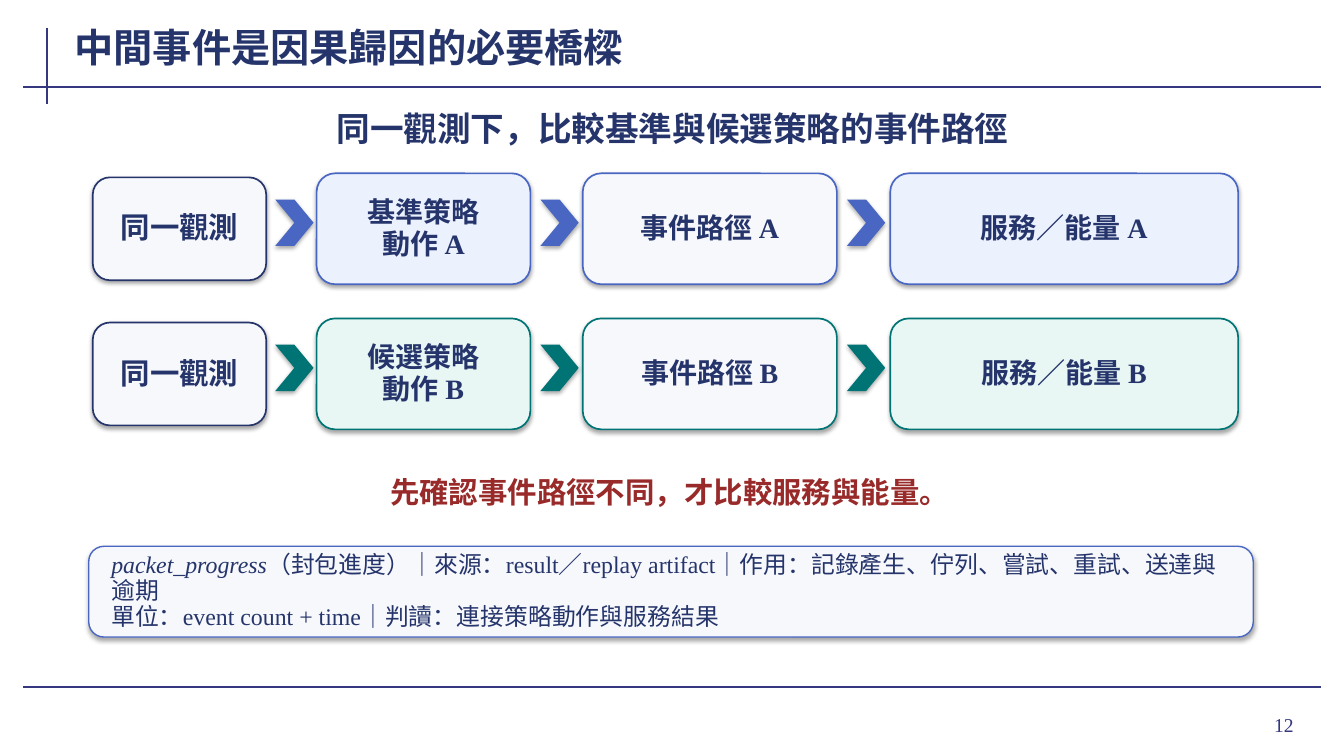
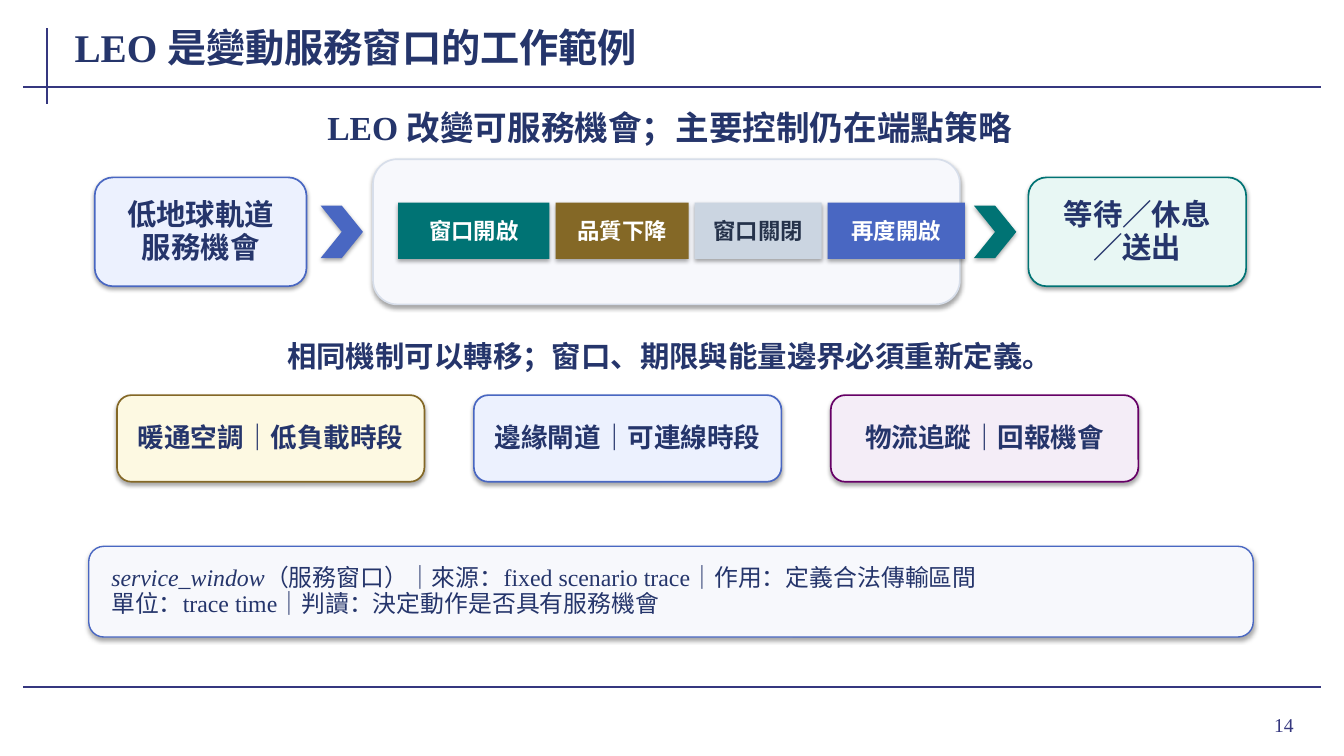
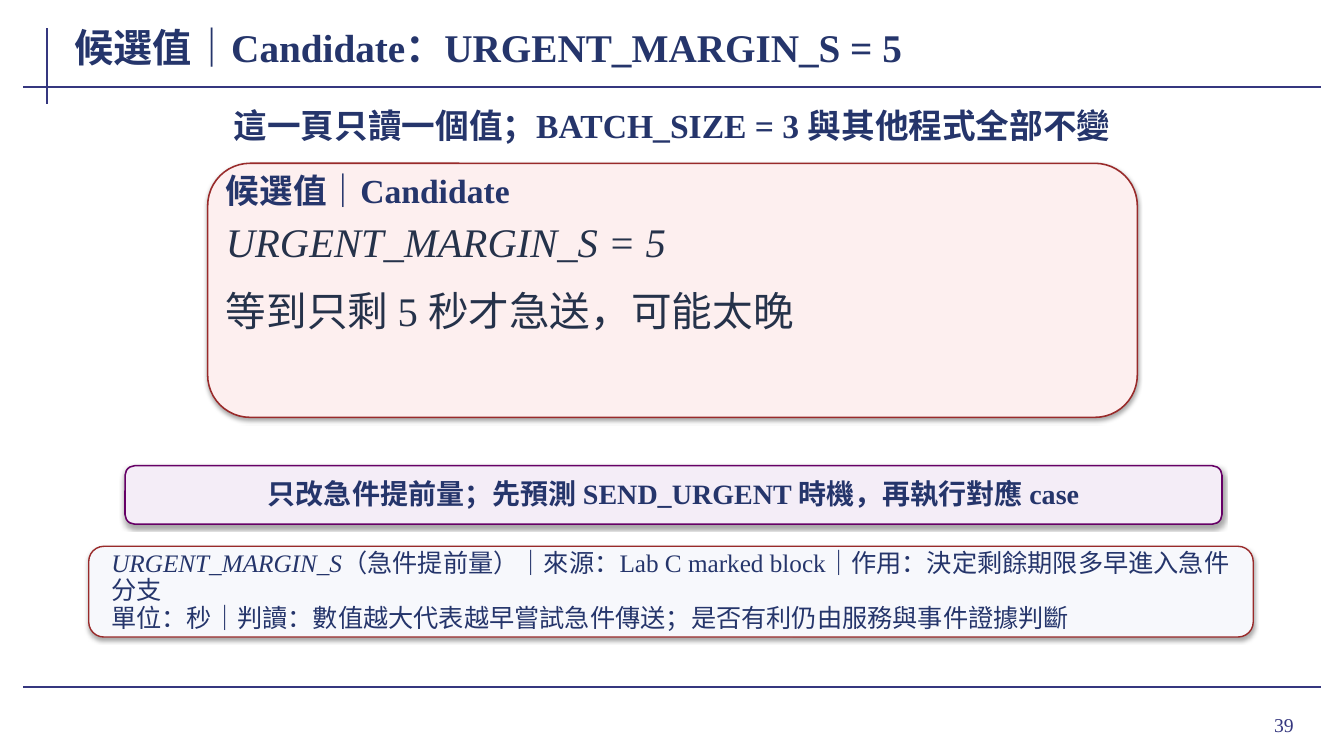
from dataclasses import dataclass, field
from typing import Any, NamedTuple

from lxml import etree
from pptx import Presentation
from pptx.dml.color import RGBColor
from pptx.enum import shapes, text
from pptx.oxml.ns import qn
from pptx.util import Inches, Pt

INDIGO = RGBColor(0x35, 0x37, 0x7F)
NAVY = RGBColor(0x25, 0x35, 0x6B)
INK = RGBColor(0x25, 0x32, 0x4A)
BLUE = RGBColor(0x49, 0x67, 0xC2)
TEAL = RGBColor(0x00, 0x73, 0x74)
RED = RGBColor(0x99, 0x2A, 0x2A)
GOLD = RGBColor(0x84, 0x68, 0x26)
PURPLE = RGBColor(0x66, 0x00, 0x66)
GREY = RGBColor(0xCB, 0xD5, 0xE1)
WHITE = RGBColor(0xFF, 0xFF, 0xFF)
OUTLINE = RGBColor(0xD7, 0xDE, 0xEA)
PALE = RGBColor(0xF7, 0xF8, 0xFC)
PALE_BLUE = RGBColor(0xEC, 0xF1, 0xFE)
PALE_TEAL = RGBColor(0xE8, 0xF7, 0xF4)
PALE_RED = RGBColor(0xFD, 0xEF, 0xEF)
PALE_GOLD = RGBColor(0xFD, 0xF9, 0xE2)
PALE_PURPLE = RGBColor(0xF4, 0xED, 0xF7)

FONT = "Times New Roman"
LEFT, CENTER, RIGHT = text.PP_ALIGN.LEFT, text.PP_ALIGN.CENTER, text.PP_ALIGN.RIGHT
MIDDLE, TOP = text.MSO_ANCHOR.MIDDLE, text.MSO_ANCHOR.TOP
ROUNDED = shapes.MSO_SHAPE.ROUNDED_RECTANGLE
RECTANGLE = shapes.MSO_SHAPE.RECTANGLE
CHEVRON = shapes.MSO_SHAPE.CHEVRON


class Box(NamedTuple):
    left: float
    top: float
    width: float
    height: float


class Run(NamedTuple):
    text: str
    italic: bool = False


Line = str | tuple[Run, ...]


@dataclass(frozen=True)
class TextStyle:
    size: float
    color: RGBColor = NAVY
    bold: bool = True
    align: text.PP_ALIGN = CENTER
    anchor: text.MSO_ANCHOR = MIDDLE
    insets: tuple[float, float] = (0.12, 0.05)
    paragraph: dict[str, Any] = field(default_factory=dict)


TIGHT = {"line_spacing": 0.95}
TITLE = TextStyle(28, align=LEFT, insets=(0.02, 0))
HEADING = TextStyle(24, insets=(0.02, 0.01))
MESSAGE = TextStyle(21, insets=(0.02, 0.01))
WARNING = TextStyle(21, RED, insets=(0.02, 0.01))
PAGE_NUMBER = TextStyle(14, INDIGO, False, RIGHT, insets=(0.1, 0.05))
LARGE_LABEL = TextStyle(21, paragraph=TIGHT)
LABEL = TextStyle(20, paragraph=TIGHT)
SMALL_LABEL = TextStyle(19, paragraph=TIGHT)
BANNER = TextStyle(20, insets=(0.12, 0.04), paragraph=TIGHT)
NOTE = TextStyle(17, bold=False, align=LEFT, insets=(0.18, 0.05), paragraph={"line_spacing": 0.92})
LARGE_NOTE = TextStyle(18, bold=False, align=LEFT, insets=(0.18, 0.03), paragraph={"line_spacing": 0.9})
CARD_HEADING = TextStyle(24, align=LEFT, anchor=TOP, insets=(0.02, 0.01),
                         paragraph={"line_spacing": 0.9})
CARD_BODY = TextStyle(29, INK, False, LEFT, TOP, (0.02, 0.01), {"line_spacing": 0.9})


class Stage(NamedTuple):
    left: float
    width: float
    label: str
    tinted: bool


class Track(NamedTuple):
    top: float
    policy: str
    letter: str
    color: RGBColor
    tint: RGBColor


class Window(NamedTuple):
    label: str
    width: float
    fill: RGBColor
    color: RGBColor = WHITE


class Example(NamedTuple):
    label: str
    fill: RGBColor
    line: RGBColor


def inches(box: Box) -> list[int]:
    return [Inches(length) for length in box]


def apply(target: Any, values: dict[str, Any]) -> None:
    for name, value in values.items():
        setattr(target, name, value)


def write_text(frame: Any, lines: tuple[Line, ...], style: TextStyle) -> None:
    side, edge = (Inches(inset) for inset in style.insets)
    apply(frame, {
        "word_wrap": True, "vertical_anchor": style.anchor,
        "margin_left": side, "margin_right": side, "margin_top": edge, "margin_bottom": edge,
    })
    for index, line in enumerate(lines):
        paragraph = frame.add_paragraph() if index else frame.paragraphs[0]
        apply(paragraph, {"alignment": style.align, **style.paragraph})
        for part in (Run(line),) if isinstance(line, str) else line:
            run = paragraph.add_run()
            run.text = part.text
            apply(run.font, {"name": FONT, "size": Pt(style.size), "bold": style.bold,
                             "italic": part.italic})
            run.font.color.rgb = style.color


def add_text(slide: Any, box: Box, lines: tuple[Line, ...], style: TextStyle, grow: bool = True) -> Any:
    frame = slide.shapes.add_textbox(*inches(box)).text_frame
    write_text(frame, lines, style)
    if grow:
        frame.auto_size = text.MSO_AUTO_SIZE.SHAPE_TO_FIT_TEXT
    return frame


def add_panel(slide: Any, kind: shapes.MSO_SHAPE, box: Box, fill: RGBColor,
              line: RGBColor | None = None, weight: float = 1.2,
              lines: tuple[Line, ...] = (), style: TextStyle = LABEL) -> None:
    """Draw a filled shape that keeps the soft shadow of the theme."""
    shape = slide.shapes.add_shape(kind, *inches(box))
    shape.fill.solid()
    shape.fill.fore_color.rgb = fill
    if line is None:
        shape.line.fill.background()
    else:
        shape.line.color.rgb = line
        shape.line.width = Pt(weight)
    if lines:
        write_text(shape.text_frame, lines, style)


def add_rule(slide: Any, left: float, top: float, right: float, bottom: float) -> None:
    ends = (Inches(length) for length in (left, top, right, bottom))
    rule = slide.shapes.add_connector(shapes.MSO_CONNECTOR.STRAIGHT, *ends)
    rule.line.color.rgb = INDIGO
    rule.line.width = Pt(1.5)
    etree.SubElement(rule._element.spPr, qn("a:effectLst"))


def add_note(slide: Any, lines: tuple[Line, ...], line: RGBColor = BLUE, style: TextStyle = NOTE) -> None:
    add_panel(slide, ROUNDED, Box(0.88, 5.42, 11.55, 0.9), PALE, line, 1, lines, style)


def start_slide(presentation: Any, title: str, number: int) -> Any:
    """Add a slide with the shared rules, title and page number."""
    slide = presentation.slides.add_slide(presentation.slide_layouts[5])
    add_rule(slide, 0.47, 0.28, 0.47, 1.03)
    for height in (0.86, 6.82):
        add_rule(slide, 0.23, height, 13.1, height)
    add_text(slide, Box(11.96, 6.93, 0.97, 0.52), (str(number),), PAGE_NUMBER, grow=False)
    holder = slide.shapes.title
    apply(holder, dict(zip(Box._fields, inches(Box(0.72, 0.2, 10.35, 0.53)))))
    holder.text_frame.auto_size = text.MSO_AUTO_SIZE.NONE
    write_text(holder.text_frame, (title,), TITLE)
    return slide


def build_event_paths(presentation: Any) -> None:
    slide = start_slide(presentation, "中間事件是因果歸因的必要橋樑", 12)
    add_text(slide, Box(0.98, 1.03, 11.38, 0.48), ("同一觀測下，比較基準與候選策略的事件路徑",), HEADING)
    stages = (
        Stage(3.14, 2.12, "動作", True),
        Stage(5.78, 2.52, "事件路徑", False),
        Stage(8.83, 3.45, "服務／能量", True),
    )
    tracks = (
        Track(1.72, "基準策略", "A", BLUE, PALE_BLUE),
        Track(3.16, "候選策略", "B", TEAL, PALE_TEAL),
    )
    for track in tracks:
        add_panel(slide, ROUNDED, Box(0.92, track.top + 0.04, 1.72, 1.02), PALE, NAVY,
                  lines=("同一觀測",), style=LARGE_LABEL)
        arrow_left = 2.73
        for index, stage in enumerate(stages):
            add_panel(slide, CHEVRON, Box(arrow_left, track.top + 0.26, 0.38, 0.46), track.color)
            label = f"{stage.label} {track.letter}"
            add_panel(slide, ROUNDED, Box(stage.left, track.top, stage.width, 1.1),
                      track.tint if stage.tinted else PALE, track.color,
                      lines=(label,) if index else (track.policy, label))
            arrow_left = stage.left + stage.width + 0.1
    add_text(slide, Box(1.05, 4.64, 11.18, 0.48), ("先確認事件路徑不同，才比較服務與能量。",), WARNING)
    add_note(slide, (
        (Run("packet_progress", True),
         Run("（封包進度）｜來源：result／replay artifact｜作用：記錄產生、佇列、嘗試、重試、送達與逾期")),
        "單位：event count + time｜判讀：連接策略動作與服務結果",
    ))


def build_service_windows(presentation: Any) -> None:
    slide = start_slide(presentation, "LEO 是變動服務窗口的工作範例", 14)
    add_text(slide, Box(1.04, 1.02, 11.2, 0.48), ("LEO 改變可服務機會；主要控制仍在端點策略",), HEADING)
    add_panel(slide, ROUNDED, Box(0.94, 1.76, 2.1, 1.08), PALE_BLUE, BLUE,
              lines=("低地球軌道", "服務機會"), style=LARGE_LABEL)
    add_panel(slide, CHEVRON, Box(3.18, 2.04, 0.42, 0.52), BLUE)
    add_panel(slide, ROUNDED, Box(3.7, 1.58, 5.82, 1.44), PALE, OUTLINE)
    windows = (
        Window("窗口開啟", 1.5, TEAL),
        Window("品質下降", 1.32, GOLD),
        Window("窗口關閉", 1.26, GREY, INK),
        Window("再度開啟", 1.36, BLUE),
    )
    left = 3.95
    for window in windows:
        add_panel(slide, RECTANGLE, Box(left, 2.01, window.width, 0.56), window.fill,
                  lines=(window.label,), style=TextStyle(16, window.color, insets=(0.01, 0.01)))
        left += window.width + 0.06
    add_panel(slide, CHEVRON, Box(9.66, 2.04, 0.42, 0.52), TEAL)
    add_panel(slide, ROUNDED, Box(10.2, 1.76, 2.16, 1.08), PALE_TEAL, TEAL,
              lines=("等待／休息", "／送出"), style=LARGE_LABEL)
    add_text(slide, Box(1, 3.32, 11.28, 0.42),
             ("相同機制可以轉移；窗口、期限與能量邊界必須重新定義。",), MESSAGE)
    examples = (
        Example("暖通空調｜低負載時段", PALE_GOLD, GOLD),
        Example("邊緣閘道｜可連線時段", PALE_BLUE, BLUE),
        Example("物流追蹤｜回報機會", PALE_PURPLE, PURPLE),
    )
    for index, example in enumerate(examples):
        add_panel(slide, ROUNDED, Box(1.16 + 3.54 * index, 3.92, 3.05, 0.86), example.fill,
                  example.line, lines=(example.label,), style=SMALL_LABEL)
    add_note(slide, (
        (Run("service_window", True),
         Run("（服務窗口）｜來源：fixed scenario trace｜作用：定義合法傳輸區間")),
        "單位：trace time｜判讀：決定動作是否具有服務機會",
    ))


def build_candidate_value(presentation: Any) -> None:
    slide = start_slide(presentation, "候選值｜Candidate：URGENT_MARGIN_S = 5", 39)
    add_text(slide, Box(0.94, 0.98, 11.45, 0.52),
             ("這一頁只讀一個值；BATCH_SIZE = 3 與其他程式全部不變",), HEADING)
    add_panel(slide, ROUNDED, Box(2.06, 1.62, 9.22, 2.52), PALE_RED, RED, 1.1)
    add_text(slide, Box(2.22, 1.72, 8.9, 0.46), ("候選值｜Candidate",), CARD_HEADING)
    body = add_text(slide, Box(2.22, 2.2, 8.9, 1.86),
                    ((Run("URGENT_MARGIN_S = 5", True),), "等到只剩 5 秒才急送，可能太晚"), CARD_BODY)
    body.paragraphs[1].space_before = Pt(18)
    add_panel(slide, ROUNDED, Box(1.24, 4.62, 10.88, 0.58), PALE_PURPLE, PURPLE, 1.1,
              ("只改急件提前量；先預測 SEND_URGENT 時機，再執行對應 case",), BANNER)
    add_note(slide, (
        (Run("URGENT_MARGIN_S", True),
         Run("（急件提前量）｜來源：Lab C marked block｜作用：決定剩餘期限多早進入急件分支")),
        "單位：秒｜判讀：數值越大代表越早嘗試急件傳送；是否有利仍由服務與事件證據判斷",
    ), RED, LARGE_NOTE)


def main() -> None:
    presentation = Presentation()
    presentation.slide_width = Inches(13.33)
    presentation.slide_height = Inches(7.5)
    for build in (build_event_paths, build_service_windows, build_candidate_value):
        build(presentation)
    presentation.save("out.pptx")


if __name__ == "__main__":
    main()
